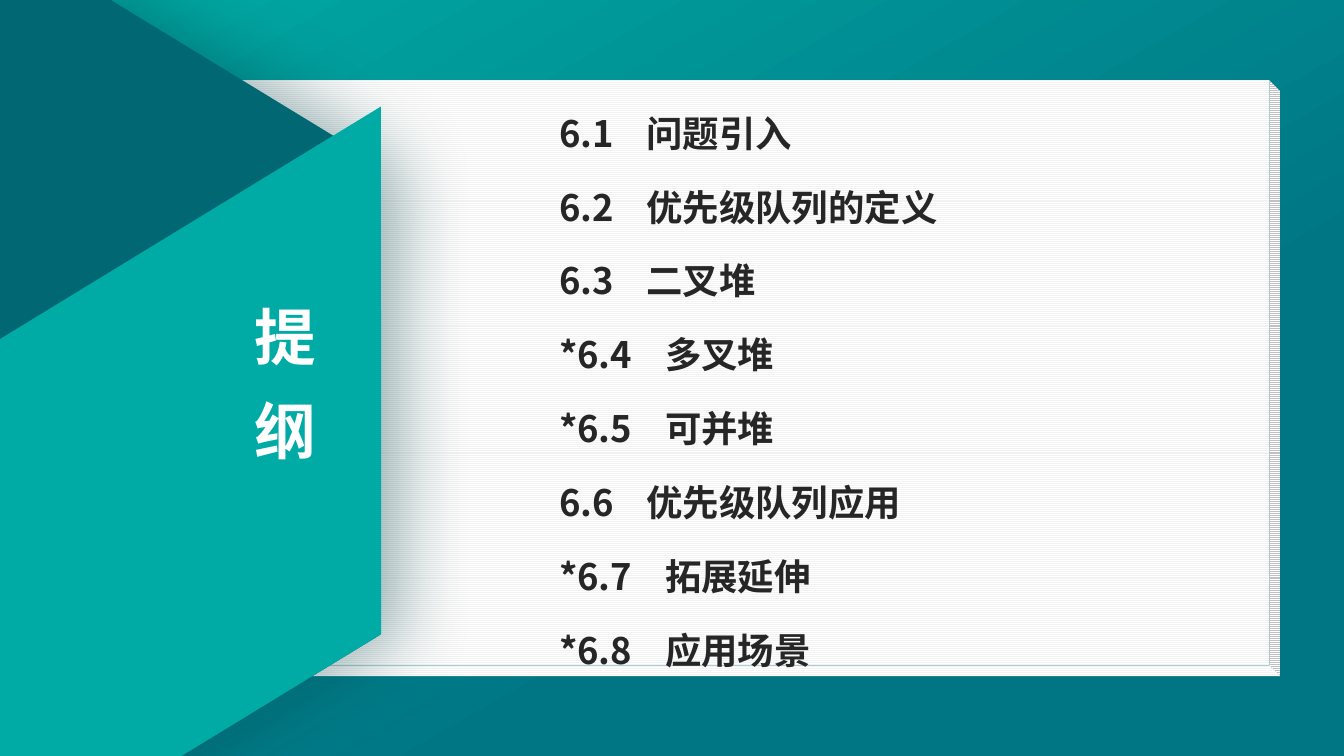
from lxml import etree
from pptx import Presentation
from pptx.dml.color import RGBColor
from pptx.enum import dml, shapes, text
from pptx.oxml import ns, xmlchemy
from pptx.util import Cm, Pt

COLORS = {
    "teal": "00ABA5",
    "sea": "007684",
    "deep": "016773",
    "shade": "013F45",
    "paper": "FFFFFF",
    "rule": "F2F2F2",
    "ink": "262626",
    "black": "000000",
}
RGB = {name: RGBColor.from_string(value) for name, value in COLORS.items()}
FONT = "Noto Sans CJK SC"


def add_shadow(props, color, alpha, blur, dist, angle):
    for old in props.findall(ns.qn("a:effectLst")):
        props.remove(old)
    effects = etree.SubElement(props, ns.qn("a:effectLst"))
    shadow = etree.SubElement(effects, ns.qn("a:outerShdw"), blurRad=str(Pt(blur)),
                              dist=str(Pt(dist)), dir=str(angle * 60000),
                              algn="ctr", rotWithShape="0")
    clr = etree.SubElement(shadow, ns.qn("a:srgbClr"), val=COLORS[color])
    etree.SubElement(clr, ns.qn("a:alpha"), val=str(alpha * 1000))


def write(p, content, size=26, color="ink", line=46.8, before=0,
          align=text.PP_ALIGN.LEFT, tab=None, shadow=None):
    p.alignment = align
    p.line_spacing = Pt(line)
    p.space_before = Pt(before)
    if tab:
        tabs = etree.SubElement(p._p.get_or_add_pPr(), ns.qn("a:tabLst"))
        etree.SubElement(tabs, ns.qn("a:tab"), pos=str(Cm(tab)), algn="l")
    r = p.add_run()
    r.text = content
    r.font.size = Pt(size)
    r.font.bold = True
    r.font.color.rgb = RGB[color]
    rpr = r._r.get_or_add_rPr()
    if shadow:
        add_shadow(rpr, *shadow)
    r.font.name = FONT
    etree.SubElement(rpr, ns.qn("a:ea"), typeface=FONT)


prs = Presentation()
prs.slide_width, prs.slide_height = Cm(33.87), Cm(19.05)
s = prs.slides.add_slide(prs.slide_layouts[5])

panels = []
for kind, box, rotation, adjustments in [
    (shapes.MSO_SHAPE.CUBE, (0, 2.03, 32.26, 15.01), 0, [0.018]),
    (shapes.MSO_SHAPE.HEXAGON, (-15.77, -2.01, 26.57, 24.16), 90, [0.305, 1.155]),
    (shapes.MSO_SHAPE.PARALLELOGRAM, (-6.96, 7.34, 21.06, 11.35), 328.6, [0.61]),
]:
    sp = s.shapes.add_shape(kind, *[Cm(v) for v in box])
    sp.rotation = rotation
    for i, value in enumerate(adjustments):
        sp.adjustments[i] = value
    sp.line.fill.background()
    sp.shadow.inherit = False
    panels.append(sp)
book, hexagon, banner = panels

book._element.spPr.find(ns.qn("a:xfrm")).set("flipV", "1")
book.fill.patterned()
book.fill.pattern = dml.MSO_PATTERN.LIGHT_HORIZONTAL
book.fill.fore_color.rgb = RGB["rule"]
book.fill.back_color.rgb = RGB["paper"]

banner.fill.solid()
banner.fill.fore_color.rgb = RGB["teal"]

for fill, angle, stops in [
    (s.background.fill, 300, [(0, "teal"), (0.67, "sea")]),
    (hexagon.fill, 270, [(0.77, "deep"), (1, "sea")]),
]:
    fill.gradient()
    fill.gradient_angle = angle
    for stop, (position, color) in zip(fill.gradient_stops, stops):
        stop.position = position
        stop.color.rgb = RGB[color]
add_shadow(hexagon._element.spPr, "shade", 40, 55, 13, 0)

title = s.shapes.title
title.left, title.top, title.width, title.height = Cm(6.2), Cm(7.04), Cm(2), Cm(4.73)
tf = title.text_frame
tf.margin_left = tf.margin_right = tf.margin_top = tf.margin_bottom = 0
tf.vertical_anchor = text.MSO_ANCHOR.TOP
tf.auto_size = text.MSO_AUTO_SIZE.NONE
tf.word_wrap = True
write(tf.paragraphs[0], "提纲", size=44, color="paper", line=67,
      align=text.PP_ALIGN.CENTER, shadow=("black", 43, 3, 3, 45))
s.shapes._spTree.append(title._element)

outline = s.shapes.add_textbox(Cm(13.84), Cm(2.24), Cm(10.74), Cm(14.76))
tf = outline.text_frame
tf.word_wrap = True
tf.margin_top = 0
tf.auto_size = text.MSO_AUTO_SIZE.SHAPE_TO_FIT_TEXT
sections = [
    ("6.1", "问题引入"),
    ("6.2", "优先级队列的定义"),
    ("6.3", "二叉堆"),
    ("*6.4", "多叉堆"),
    ("*6.5", "可并堆"),
    ("6.6", "优先级队列应用"),
    ("*6.7", "拓展延伸"),
    ("*6.8", "应用场景"),
]
for i, (number, name) in enumerate(sections):
    p = tf.add_paragraph() if i else tf.paragraphs[0]
    write(p, f"{number}\t{name}", before=6 if i else 0,
          tab=2.67 if number.startswith("*") else 2.2)

prs.save("out.pptx")
